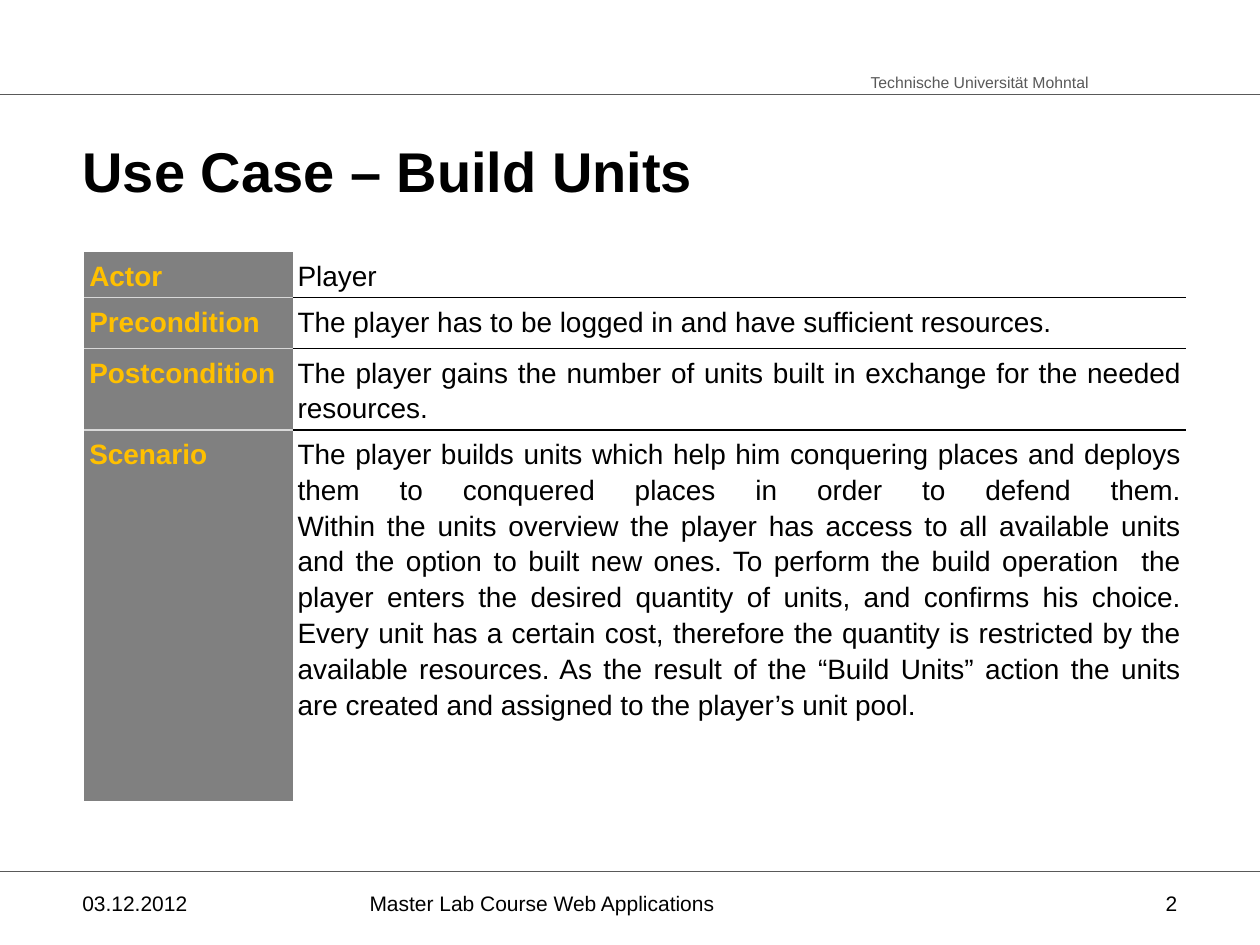
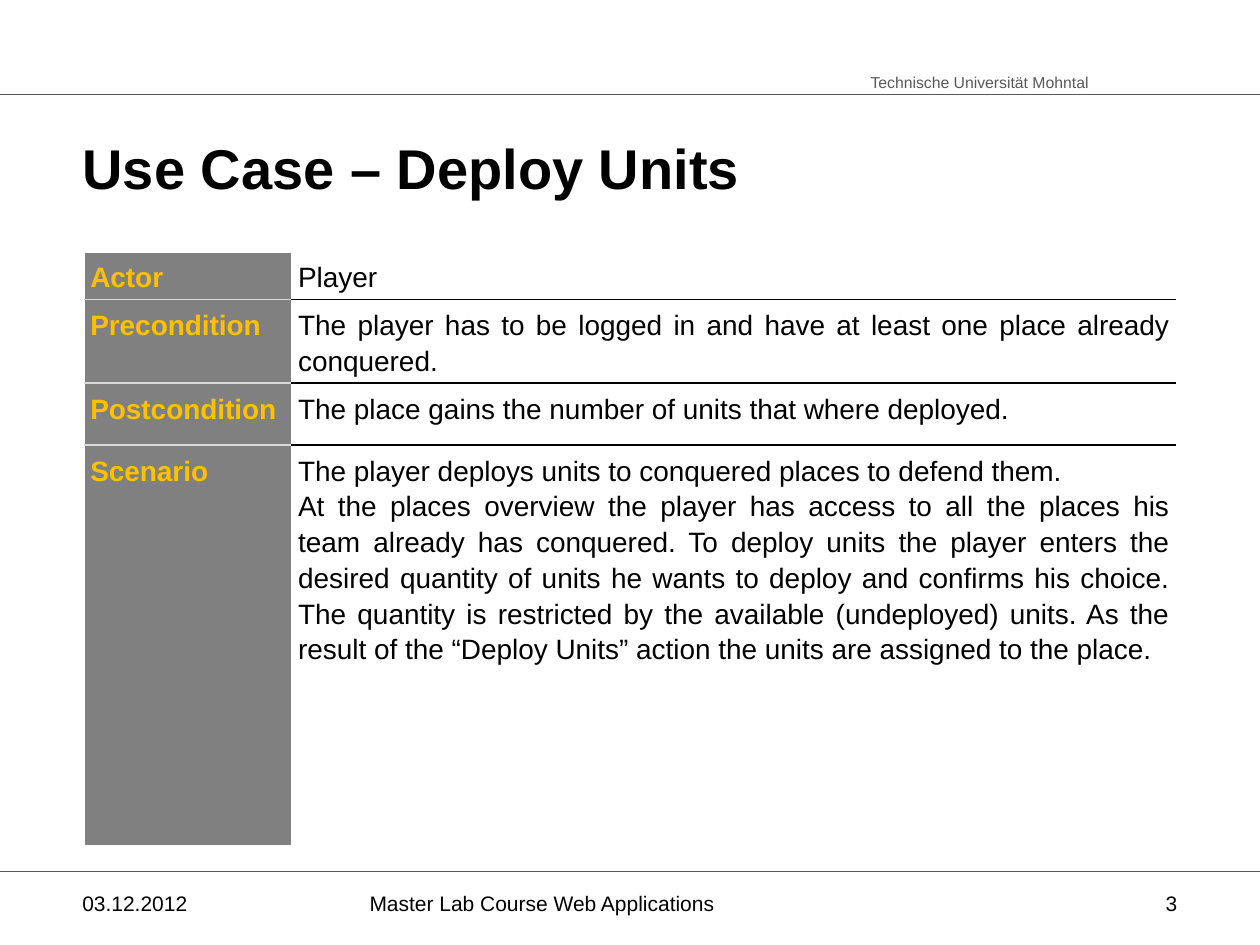
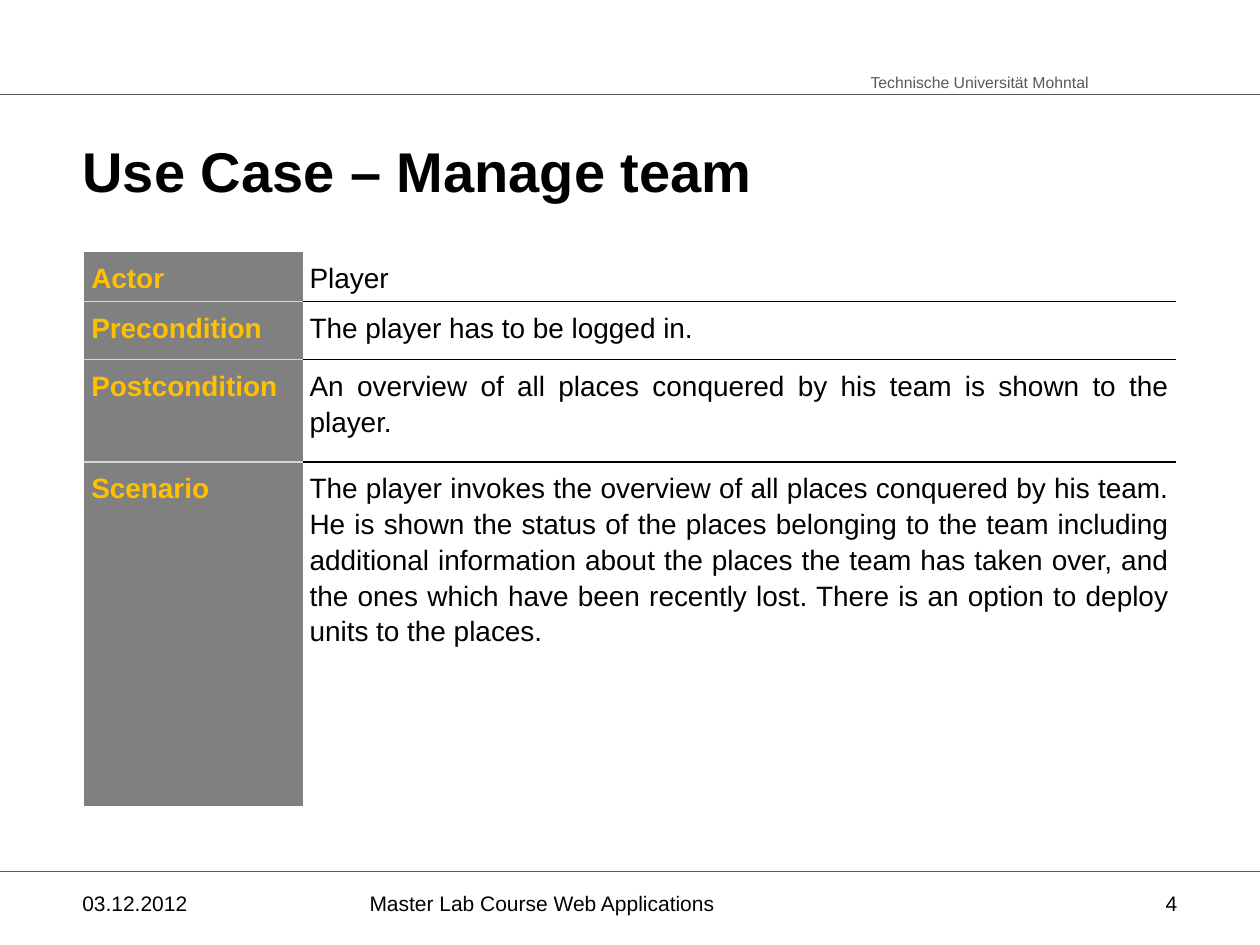
from dataclasses import dataclass
from typing import Any, Optional

from lxml.etree import SubElement
from pptx import Presentation
from pptx.dml.color import RGBColor
from pptx.enum.shapes import MSO_CONNECTOR
from pptx.enum.text import MSO_ANCHOR, MSO_AUTO_SIZE, PP_ALIGN
from pptx.oxml.ns import qn
from pptx.util import Cm, Pt

FONT = "Arial"
BLACK = "000000"
WHITE = "FFFFFF"
BAND_GREY = "595959"
LABEL_GREY = "808080"
RULE_GREY = "D9D9D9"
AMBER = "FFC000"

SLIDE_WIDTH = 25.4
SLIDE_HEIGHT = 19.05
BAND_RULES = (1.9, 17.57)
TABLE_LEFT = 1.7
TABLE_TOP = 5.08
FIRST_PAGE = 2
PLAIN_TABLE_STYLE = "{2D5ABB26-0587-4C30-8999-92F81FD0307C}"
LABELS = ("Actor", "Precondition", "Postcondition", "Scenario")

TITLE_FONT = {"name": FONT, "size": Pt(32), "bold": True}
LABEL_FONT = {"name": FONT, "size": Pt(16), "bold": True}
VALUE_FONT = {"name": FONT, "size": Pt(16), "bold": False}
FOOTER_FONT = {"name": FONT, "size": Pt(12)}
HEADER_FONT = {"name": FONT, "size": Pt(9)}
TITLE_FRAME = {
    "vertical_anchor": MSO_ANCHOR.BOTTOM,
    "auto_size": MSO_AUTO_SIZE.NONE,
    "word_wrap": True,
}
FOOTER_FRAME = {"vertical_anchor": MSO_ANCHOR.MIDDLE, "word_wrap": True}
HEADER_FRAME = {"auto_size": MSO_AUTO_SIZE.SHAPE_TO_FIT_TEXT, "word_wrap": False}


@dataclass(frozen=True)
class Box:
    left: float
    top: float
    width: float
    height: float

    def lengths(self) -> tuple:
        return Cm(self.left), Cm(self.top), Cm(self.width), Cm(self.height)


@dataclass(frozen=True)
class Footer:
    text: str
    box: Box
    align: PP_ALIGN = PP_ALIGN.LEFT


@dataclass(frozen=True)
class UseCase:
    name: str
    columns: tuple[float, float]
    rows: tuple[float, ...]
    precondition: str
    postcondition: str
    scenario: str
    margin: float = 0.1
    value_fill: Optional[str] = None
    outline: Optional[str] = None
    title_box: Box = Box(1.41, 2.54, 22.58, 1.7)

    def values(self) -> tuple[str, ...]:
        return "Player", self.precondition, self.postcondition, self.scenario


HEADER_BOX = Box(17.3, 1.34, 5.11, 0.64)
FOOTERS = (
    Footer("03.12.2012", Box(1.41, 17.78, 5.28, 0.84)),
    Footer("Master Lab Course Web Applications", Box(7.2, 17.78, 11, 0.84)),
)
PAGE_BOX = Box(18.7, 17.78, 5.28, 0.84)

USE_CASES = (
    UseCase(
        name="Build Units",
        columns=(4.2, 18.01),
        rows=(0.91, 1.02, 1.57, 7.49),
        precondition="The player has to be logged in and have sufficient resources.",
        postcondition="The player gains the number of units built in exchange for "
        "the needed resources.",
        scenario="The player builds units which help him conquering places and "
        "deploys them to conquered places in order to defend them.\v"
        "Within the units overview the player has access to all available units "
        "and the option to built new ones. To perform the build operation  the "
        "player enters the desired quantity of units, and confirms his choice. "
        "Every unit has a certain cost, therefore the quantity is restricted by "
        "the available resources. As the result of the “Build Units” action the "
        "units are created and assigned to the player’s unit pool.",
        value_fill=WHITE,
    ),
    UseCase(
        name="Deploy Units",
        columns=(4.19, 17.81),
        rows=(0.56, 1.65, 1.25, 8.08),
        precondition="The player has to be logged in and have at least one place "
        "already conquered.",
        postcondition="The place gains the number of units that where deployed.",
        scenario="The player deploys units to conquered places to defend them.\n"
        "At the places overview the player has access to all the places his team "
        "already has conquered. To deploy units the player enters the desired "
        "quantity of units he wants to deploy and confirms his choice. The "
        "quantity is restricted by the available (undeployed) units. As the "
        "result of the “Deploy Units” action the units are assigned to the place.",
        margin=0.12,
        outline=WHITE,
        title_box=Box(1.41, 2.54, 22.2, 1.63),
    ),
    UseCase(
        name="Manage team",
        columns=(4.4, 17.6),
        rows=(0.74, 1.17, 2.06, 6.93),
        precondition="The player has to be logged in.",
        postcondition="An overview of all places conquered by his team is shown "
        "to the player.",
        scenario="The player invokes the overview of all places conquered by his "
        "team. He is shown the status of the places belonging to the team "
        "including additional information about the places the team has taken "
        "over, and the ones which have been recently lost. There is an option to "
        "deploy units to the places.",
        margin=0.14,
    ),
)


def color(value: str) -> RGBColor:
    return RGBColor.from_string(value)


def apply(target: Any, values: dict) -> None:
    for attribute, value in values.items():
        setattr(target, attribute, value)


def write(frame: Any, text: str, font: dict, ink: str, paragraph_format: dict) -> None:
    frame.text = text
    for paragraph in frame.paragraphs:
        apply(paragraph, paragraph_format)
        for run in paragraph.runs:
            apply(run.font, font)
            run.font.color.rgb = color(ink)


def add_footer(slide: Any, footer: Footer) -> None:
    frame = slide.shapes.add_textbox(*footer.box.lengths()).text_frame
    apply(frame, FOOTER_FRAME)
    write(frame, footer.text, FOOTER_FONT, BLACK, {"alignment": footer.align})


def add_band_rule(slide: Any, height: float) -> Any:
    rule = slide.shapes.add_connector(
        MSO_CONNECTOR.STRAIGHT, 0, Cm(height), Cm(SLIDE_WIDTH), Cm(height)
    )
    rule.line.color.rgb = color(BAND_GREY)
    rule.line.width = Pt(0.75)
    SubElement(rule.element.spPr, qn("a:effectLst"))
    return rule


def move_bands_to_layout(slide: Any) -> None:
    university = slide.shapes.add_textbox(*HEADER_BOX.lengths())
    apply(university.text_frame, HEADER_FRAME)
    write(
        university.text_frame,
        "Technische Universität Mohntal",
        HEADER_FONT,
        BAND_GREY,
        {"alignment": PP_ALIGN.LEFT},
    )
    bands = [university, *(add_band_rule(slide, height) for height in BAND_RULES)]
    for number, band in enumerate(bands, start=20):
        band.element.xpath(".//p:cNvPr")[0].set("id", str(number))
        slide.slide_layout.shapes.element.append(band.element)


def add_borders(cell: Any, row: int, rule: str, outline: Optional[str]) -> None:
    inks = {
        "lnL": outline,
        "lnR": outline,
        "lnT": rule if row > 0 else outline,
        "lnB": rule if row < len(LABELS) - 1 else outline,
    }
    properties = cell._tc.get_or_add_tcPr()
    for side, ink in inks.items():
        if ink:
            border = SubElement(properties, qn(f"a:{side}"), w=str(Pt(1)))
            fill = SubElement(border, qn("a:solidFill"))
            SubElement(fill, qn("a:srgbClr"), val=ink)


def fill_cell(
    cell: Any, text: str, margin: float, font: dict, ink: str,
    background: Optional[str], align: PP_ALIGN,
) -> None:
    sides = ("margin_left", "margin_right", "margin_top", "margin_bottom")
    apply(cell, dict.fromkeys(sides, Cm(margin)))
    if background:
        cell.fill.solid()
        cell.fill.fore_color.rgb = color(background)
    else:
        cell.fill.background()
    write(cell.text_frame, text, font, ink, {"alignment": align, "line_spacing": 1.15})


def add_use_case_table(slide: Any, case: UseCase) -> None:
    box = Box(TABLE_LEFT, TABLE_TOP, sum(case.columns), sum(case.rows))
    table = slide.shapes.add_table(len(LABELS), 2, *box.lengths()).table
    apply(table, {"first_row": False, "horz_banding": False})
    table._tbl.tblPr.find(qn("a:tableStyleId")).text = PLAIN_TABLE_STYLE
    for column, width in zip(table.columns, case.columns):
        column.width = Cm(width)
    for row, (height, label, value) in enumerate(zip(case.rows, LABELS, case.values())):
        table.rows[row].height = Cm(height)
        label_cell, value_cell = table.cell(row, 0), table.cell(row, 1)
        add_borders(label_cell, row, RULE_GREY, case.outline)
        add_borders(value_cell, row, BLACK, case.outline)
        fill_cell(
            label_cell, label, case.margin, LABEL_FONT, AMBER,
            LABEL_GREY, PP_ALIGN.LEFT,
        )
        fill_cell(
            value_cell, value, case.margin, VALUE_FONT, BLACK,
            case.value_fill, PP_ALIGN.JUSTIFY if row else PP_ALIGN.LEFT,
        )


def add_use_case_slide(deck: Any, case: UseCase, page: int) -> None:
    slide = deck.slides.add_slide(deck.slide_layouts[5])
    if page == FIRST_PAGE:
        move_bands_to_layout(slide)
    title = slide.shapes.title
    apply(title, dict(zip(("left", "top", "width", "height"), case.title_box.lengths())))
    apply(title.text_frame, TITLE_FRAME)
    write(
        title.text_frame,
        f"Use Case – {case.name}",
        TITLE_FONT,
        BLACK,
        {"alignment": PP_ALIGN.LEFT},
    )
    add_use_case_table(slide, case)
    for footer in (*FOOTERS, Footer(str(page), PAGE_BOX, PP_ALIGN.RIGHT)):
        add_footer(slide, footer)


def main() -> None:
    deck = Presentation()
    apply(deck, {"slide_width": Cm(SLIDE_WIDTH), "slide_height": Cm(SLIDE_HEIGHT)})
    for page, case in enumerate(USE_CASES, start=FIRST_PAGE):
        add_use_case_slide(deck, case, page)
    deck.save("out.pptx")


main()
